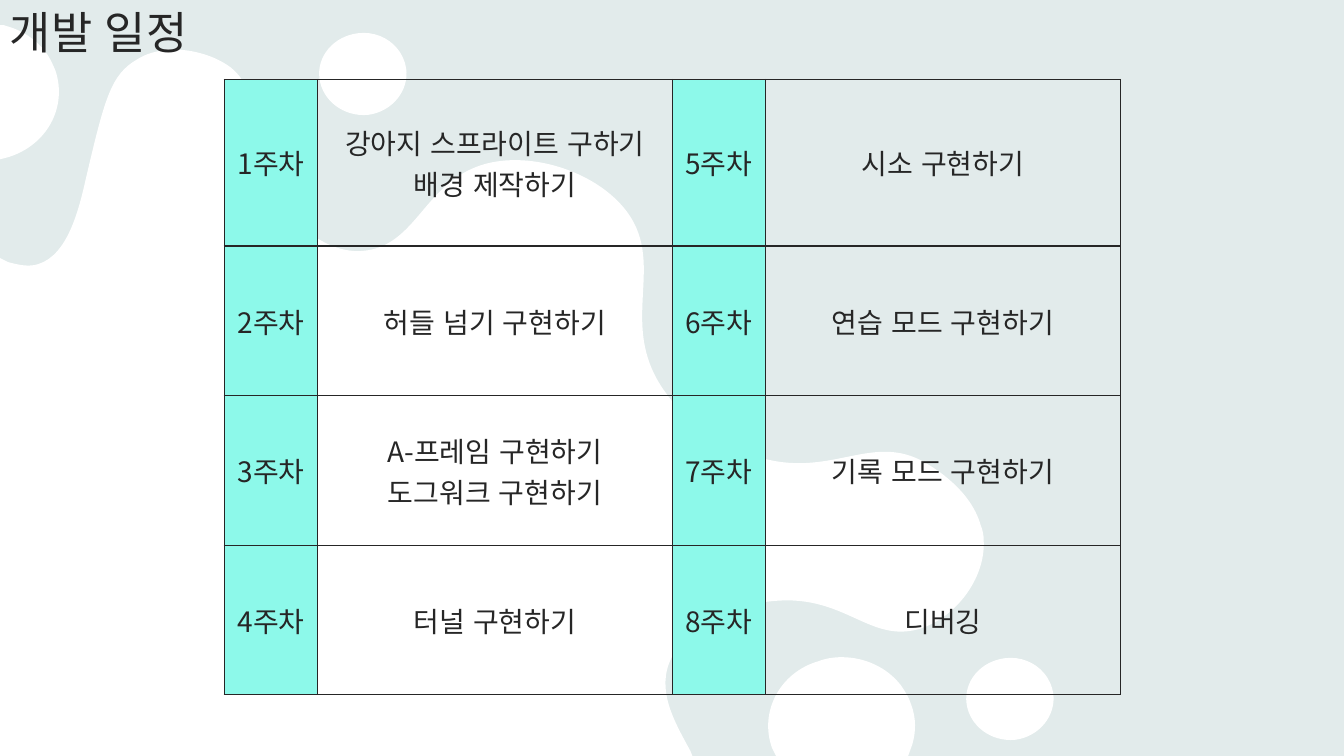
import lxml.etree
import pptx
import pptx.dml.color
import pptx.enum.lang
import pptx.enum.shapes
import pptx.enum.text
import pptx.oxml.ns
import pptx.util

Cm = pptx.util.Cm
qn = pptx.oxml.ns.qn
FONT = "Noto Sans CJK KR"
INK, MINT, WHITE = "262626", "8DF9EA", "FFFFFF"
UNIT = Cm(0.0254)  # one step of the outline grid
WIDTH, HEIGHT = Cm(33.87), Cm(19.05)

# Outlines: pairs are straight points, sixes are Bezier curves
WAVE = [
    (170, 49), (191, 49, 213, 55, 229, 67), (267, 98, 235, 147, 276, 200),
    (281, 207, 316, 252, 359, 249), (415, 245, 420, 178, 484, 162),
    (529, 151, 588, 170, 618, 205), (665, 260, 610, 320, 660, 389),
    (694, 438, 753, 454, 758, 455), (827, 473, 866, 429, 918, 459),
    (928, 465, 963, 486, 973, 521), (973, 521),
    (975, 526, 976, 531, 976, 536),
    (978, 574, 948, 613, 912, 624), (863, 638, 839, 591, 771, 596),
    (736, 598, 684, 617, 666, 653), (651, 684, 668, 714, 685, 745),
    (687, 750), (0, 750), (0, 256), (8, 260),
    (19, 263, 29, 265, 38, 262), (67, 253, 78, 209, 85, 178),
    (104, 97, 110, 74, 136, 59), (145, 53, 157, 50, 170, 49),
]
DOME = [
    (835, 652), (858, 652, 880, 662, 894, 680), (898, 686, 902, 692, 904, 699),
    (909, 712, 909, 726, 905, 739), (901, 750), (770, 750), (766, 742),
    (753, 706, 774, 667, 812, 656), (820, 653, 827, 652, 835, 652),
]
EDGE = [
    (0, 25), (4, 25), (7, 26), (22, 30, 35, 39, 44, 50),
    (49, 56, 52, 63, 55, 70), (67, 106, 47, 144, 8, 156), (0, 158),
]
DOT = [
    (41, 2), (56, 0, 71, 6, 80, 17), (85, 23, 88, 30, 89, 37),
    (92, 59, 75, 80, 51, 83), (27, 85, 6, 69, 3, 47), (0, 25, 17, 5, 41, 2),
]

PLAN = [
    ["강아지 스프라이트 구하기", "배경 제작하기"], ["허들 넘기 구현하기"],
    ["A-프레임 구현하기", "도그워크 구현하기"], ["터널 구현하기"],
    ["시소 구현하기"], ["연습 모드 구현하기"], ["기록 모드 구현하기"], ["디버깅"],
]


def color(code):
    return pptx.dml.color.RGBColor.from_string(code)


def paint(shape, code):
    shape.shadow.inherit = False
    shape.fill.solid()
    shape.fill.fore_color.rgb = color(code)
    shape.line.fill.background()


def write(frame, lines, size, align):
    for i, line in enumerate(lines):
        para = frame.paragraphs[0] if i == 0 else frame.add_paragraph()
        para.alignment = align
        run = para.add_run()
        run.text = line
        font = run.font
        font.name, font.size = FONT, pptx.util.Pt(size)
        font.color.rgb = color(INK)
        font.language_id = pptx.enum.lang.MSO_LANGUAGE_ID.KOREAN
        east = lxml.etree.SubElement(font._element, qn("a:ea"))
        east.set("typeface", FONT)


def shift(steps, right, down):
    return [tuple(n + (down if i % 2 else right) for i, n in enumerate(step))
            for step in steps]


def bend(shape, steps):
    """Turn the straight sides into curves where a step has six numbers."""
    sides = list(shape._element.iter(qn("a:lnTo")))
    for side, step in zip(sides, steps):
        if len(step) == 6:
            curve = lxml.etree.Element(qn("a:cubicBezTo"))
            for x, y in (step[:2], step[2:4], step[4:]):
                lxml.etree.SubElement(
                    curve, qn("a:pt"), x=str(x * UNIT - shape.left),
                    y=str(y * UNIT - shape.top))
            side.getparent().replace(side, curve)


def backdrop(slide, left, top, width, height):
    # Pale base with a light grey veil
    slide.background.fill.solid()
    slide.background.fill.fore_color.rgb = color("E9F3F3")
    kind = pptx.enum.shapes.MSO_SHAPE.RECTANGLE
    veil = slide.shapes.add_shape(kind, left, top, width, height)
    paint(veil, "AEAEAE")
    tint = veil._element.spPr.find(".//" + qn("a:srgbClr"))
    lxml.etree.SubElement(tint, qn("a:alpha")).set("val", "10000")
    # White liquid forms in one outline
    loops = [shift(DOT, 956, 651), DOME, WAVE, shift(DOT, 314, 31), EDGE]
    pen = slide.shapes.build_freeform(*[n * UNIT for n in loops[0][0]])
    for i, loop in enumerate(loops):
        ends = [(step[-2] * UNIT, step[-1] * UNIT) for step in loop]
        if i:
            pen.move_to(*ends[0])
        pen.add_line_segments(ends[1:], close=True)
    form = pen.convert_to_shape()
    bend(form, [step for loop in loops for step in loop[1:]])
    form.left, form.top = form.left + left, form.top + top
    paint(form, WHITE)


def heading(slide, left, top, width, height):
    frame = slide.shapes.add_textbox(left, top, width, height).text_frame
    frame.word_wrap = True
    write(frame, ["개발 일정"], 32, pptx.enum.text.PP_ALIGN.LEFT)


def border(cell):
    props = cell._tc.get_or_add_tcPr()
    for side in ("lnL", "lnR", "lnT", "lnB"):
        line = lxml.etree.SubElement(props, qn("a:" + side), w="12700")
        fill = lxml.etree.SubElement(line, qn("a:solidFill"))
        lxml.etree.SubElement(fill, qn("a:srgbClr"), val=INK)


def schedule(slide, left, top, width, height):
    rows = len(PLAN) // 2
    table = slide.shapes.add_table(rows, 4, left, top, width, height).table
    table.first_row = table.horz_banding = False
    # Narrow week columns, wide task columns, taller first row
    week, first = Cm(2.36), Cm(4.2)
    for i, col in enumerate(table.columns):
        col.width = week if i % 2 == 0 else width // 2 - week
    for i, row in enumerate(table.rows):
        row.height = first if i == 0 else (height - first) // (rows - 1)
    # Weeks run down the left half, then the right half
    for i, tasks in enumerate(PLAN):
        half, row = divmod(i, rows)
        for col, lines in enumerate(([f"{i + 1}주차"], tasks)):
            cell = table.cell(row, half * 2 + col)
            cell.vertical_anchor = pptx.enum.text.MSO_ANCHOR.MIDDLE
            border(cell)
            if col == 0:
                cell.fill.solid()
                cell.fill.fore_color.rgb = color(MINT)
            else:
                cell.fill.background()
            write(cell.text_frame, lines, 20, pptx.enum.text.PP_ALIGN.CENTER)


def main():
    deck = pptx.Presentation()
    deck.slide_width, deck.slide_height = WIDTH, HEIGHT
    slide = deck.slides.add_slide(deck.slide_layouts[6])
    backdrop(slide, 0, 0, WIDTH, HEIGHT)
    heading(slide, 0, 0, WIDTH, Cm(1.63))
    schedule(slide, Cm(5.65), Cm(2.0), Cm(22.58), Cm(15.51))
    deck.save("out.pptx")


if __name__ == "__main__":
    main()
